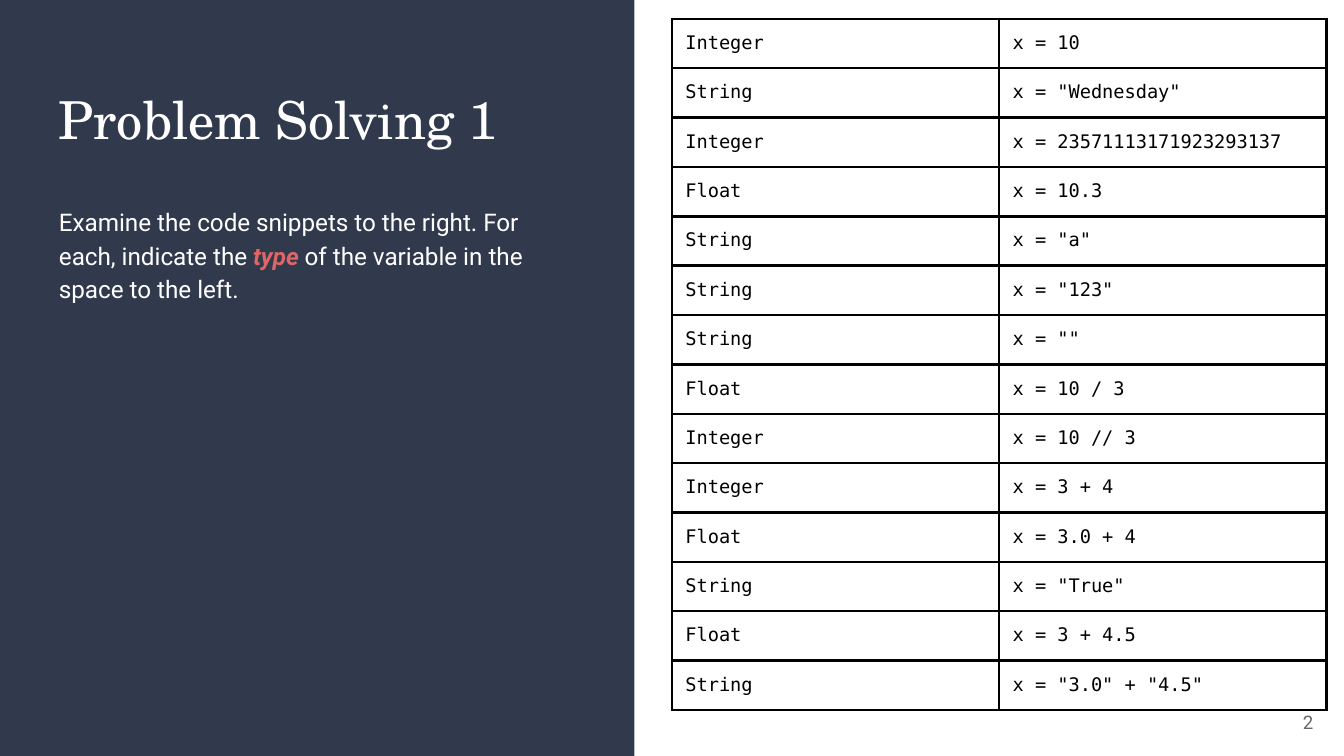
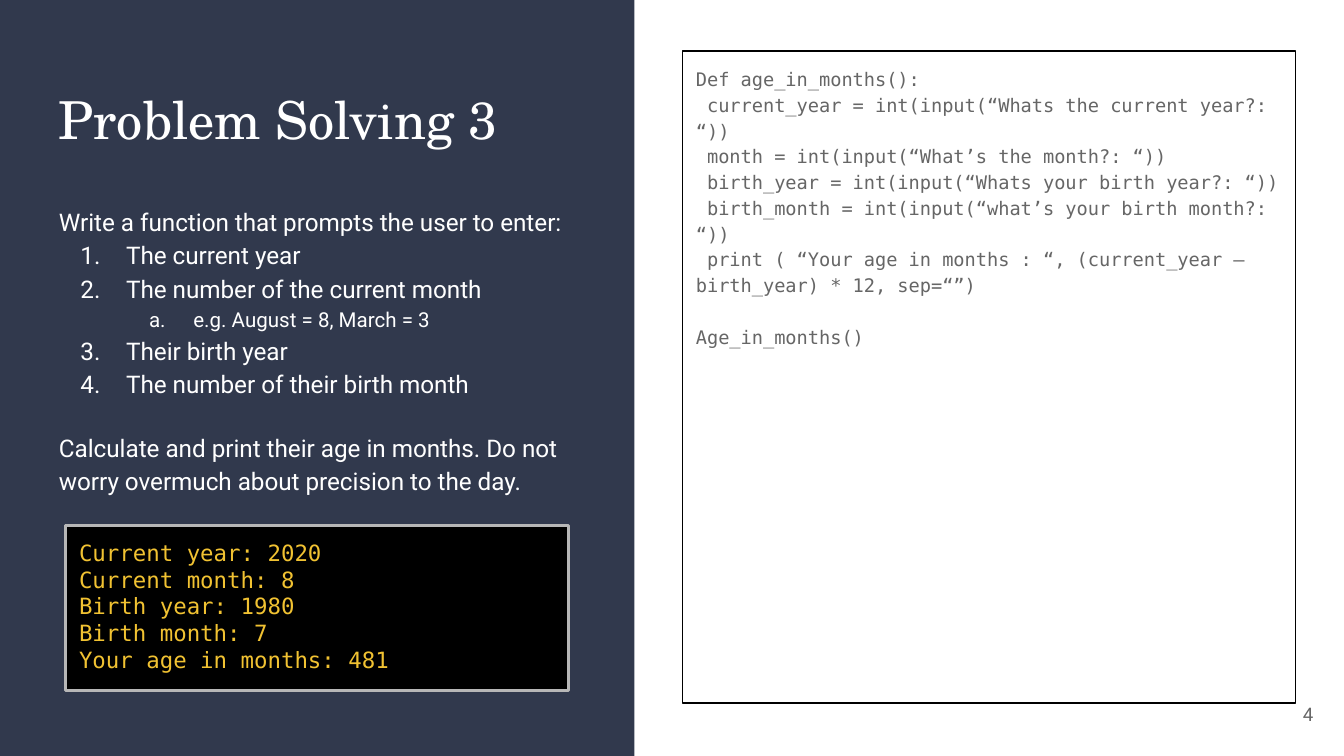
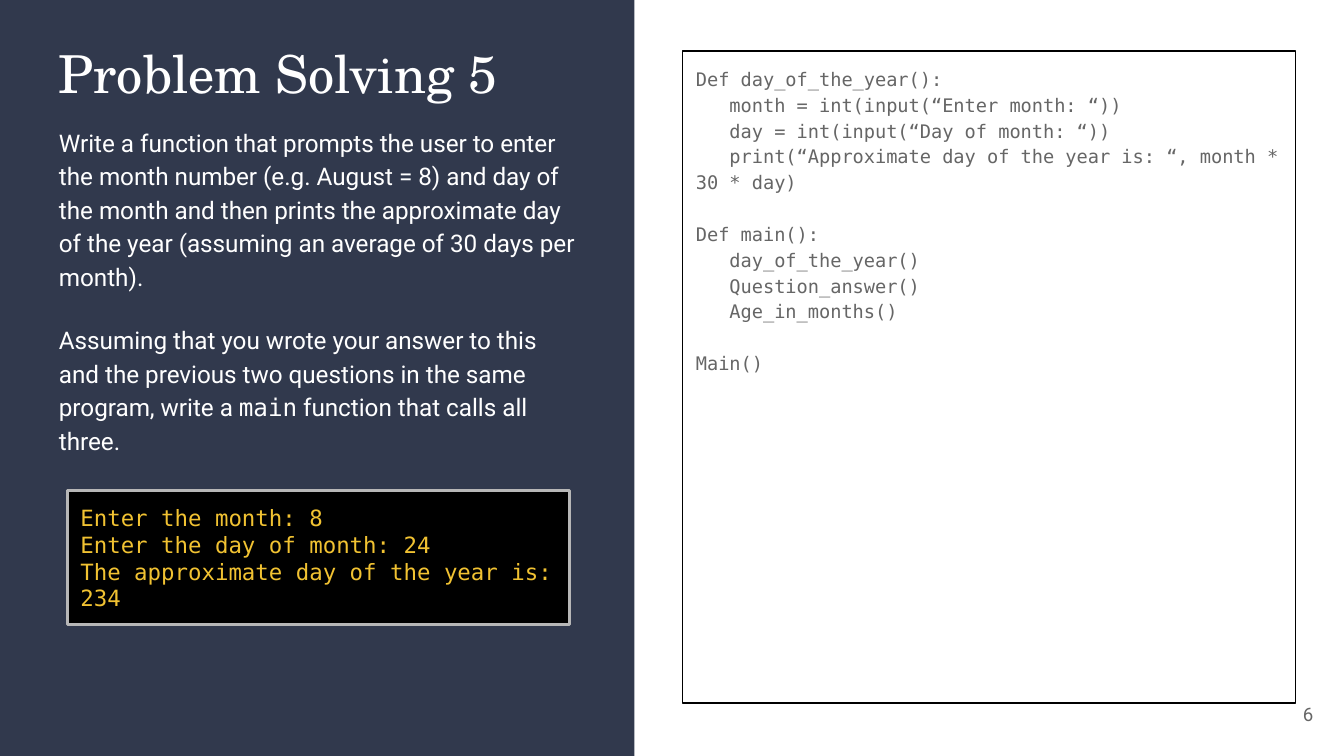
from lxml.etree import SubElement
from pptx import Presentation
from pptx.dml.color import RGBColor
from pptx.enum.shapes import MSO_SHAPE
from pptx.enum.text import MSO_ANCHOR, PP_ALIGN
from pptx.oxml.ns import qn
from pptx.util import Inches, Pt

hues = {
    "navy": "31394D", "white": "FFFFFF", "black": "000000", "gray": "666666",
    "rim": "B7B7B7", "gold": "F1C232", "red": "E06666",
}
serif, sans, mono = "TeX Gyre Schola", "Roboto", "DejaVu Sans Mono"
wide = 10
tall = wide * 9 / 16


def fill_text(frame, paras, face, size, hue, pace=None, gap=0):
    frame.word_wrap = True
    frame.margin_left = frame.margin_right = Inches(0.1)
    frame.margin_top = frame.margin_bottom = Inches(0.1)
    para, space = frame.paragraphs[0], False
    for at, runs in enumerate(paras):
        if not runs:
            space = True
            continue
        if at:
            para = frame.add_paragraph()
        para.alignment = PP_ALIGN.LEFT
        if pace:
            para.line_spacing = pace
        if space:
            para.space_before = Pt(gap)
            space = False
        for text in [runs] if isinstance(runs, str) else runs:
            run = para.add_run()
            run.text = text
            run.font.name, run.font.size = face, Pt(size)
            run.font.color.rgb = RGBColor.from_string(hues[hue])


def add_box(page, spot, fill=None, line=None, width=0):
    spot = [Inches(n) for n in spot]
    if not fill and not line:
        return page.shapes.add_textbox(*spot)
    box = page.shapes.add_shape(MSO_SHAPE.RECTANGLE, *spot)
    box.shadow.inherit = False
    box.text_frame.vertical_anchor = MSO_ANCHOR.TOP
    if fill:
        box.fill.solid()
        box.fill.fore_color.rgb = RGBColor.from_string(hues[fill])
    else:
        box.fill.background()
    if line:
        box.line.color.rgb = RGBColor.from_string(hues[line])
        box.line.width = Pt(width)
    else:
        box.line.fill.background()
    return box


tasks = [
    {
        "title": "Problem Solving 1", "top": 0.55, "num": "2", "foot": 5.16,
        "body": (1.41, 2.95),
        "text": [["Examine the code snippets to the right. For each, indicate the ",
                  "type ", "of the variable in the space to the left."]],
    },
    {
        "title": "Problem Solving 3", "top": 0.55, "num": "4", "foot": 5.1,
        "body": (1.41, 2.33),
        "text": [
            "Write a function that prompts the user to enter:",
            "The current year",
            "The number of the current month",
            "e.g. August = 8, March = 3",
            "Their birth year",
            "The number of their birth month",
            "",
            "Calculate and print their age in months. Do not worry overmuch "
            "about precision to the day.",
        ],
        "code": [
            "Def age_in_months():",
            " current_year = int(input(“Whats the current year?: “))",
            " month = int(input(“What’s the month?: “))",
            " birth_year = int(input(“Whats your birth year?: “))",
            " birth_month = int(input(“what’s your birth month?: “))",
            " print ( “Your age in months : “, (current_year – birth_year) * 12, sep=“”)",
            "",
            "Age_in_months()",
        ],
        "term": (0.49, 3.91, 3.74, 1.23),
        "log": ["Current year: 2020", "Current month: 8", "Birth year: 1980",
                "Birth month: 7", "Your age in months: 481"],
    },
    {
        "title": "Problem Solving 5", "top": 0.21, "num": "6", "foot": 5.1,
        "body": (0.82, 2.58),
        "text": [
            "Write a function that prompts the user to enter the month number "
            "(e.g. August = 8) and day of the month and then prints the approximate "
            "day of the year (assuming an average of 30 days per month).",
            "",
            ["Assuming that you wrote your answer to this and the previous two "
             "questions in the same program, write a ", "main",
             " function that calls all three."],
        ],
        "code": [
            "Def day_of_the_year():",
            "   month = int(input(“Enter month: “))",
            "   day = int(input(“Day of month: “))",
            "   print(“Approximate day of the year is: “, month * 30 * day)",
            "",
            "Def main():",
            "   day_of_the_year()",
            "   Question_answer()",
            "   Age_in_months()",
            "",
            "Main()",
        ],
        "term": (0.5, 3.65, 3.74, 1),
        "log": ["Enter the month: 8", "Enter the day of month: 24",
                "The approximate day of the year is: 234"],
    },
]

deck = Presentation()
deck.slide_width, deck.slide_height = Inches(wide), Inches(tall)

pages, bodies = [], []
for task in tasks:
    page = deck.slides.add_slide(deck.slide_layouts[6])
    add_box(page, (0, 0, 4.72, tall), fill="navy")

    title = add_box(page, (0.34, task["top"], 4.05, 0.7))
    fill_text(title.text_frame, [task["title"]], serif, 28, "white")

    if "code" in task:
        code = add_box(page, (5.08, 0.38, 4.56, 4.85), line="black", width=0.75)
        fill_text(code.text_frame, task["code"], mono, 10, "gray", 1.15, 14)

    top, high = task["body"]
    body = add_box(page, (0.34, top, 4.05, high)).text_frame
    fill_text(body, task["text"], sans, 13, "white", 1.15, 16)

    foot = add_box(page, (9.27, task["foot"], 0.6, 0.43)).text_frame
    fill_text(foot, [task["num"]], sans, 10, "gray")
    foot.vertical_anchor = MSO_ANCHOR.MIDDLE
    foot.paragraphs[0].alignment = PP_ALIGN.RIGHT

    if "log" in task:
        term = add_box(page, task["term"], "black", "rim", 1.5)
        fill_text(term.text_frame, task["log"], mono, 12, "gold")

    pages.append(page)
    bodies.append(body)

word = bodies[0].paragraphs[0].runs[1].font
word.bold = word.italic = True
word.color.rgb = RGBColor.from_string(hues["red"])

rows = [
    ("Integer", 'x = 10'),
    ("String", 'x = "Wednesday"'),
    ("Integer", 'x = 23571113171923293137'),
    ("Float", 'x = 10.3'),
    ("String", 'x = "a"'),
    ("String", 'x = "123"'),
    ("String", 'x = ""'),
    ("Float", 'x = 10 / 3'),
    ("Integer", 'x = 10 // 3'),
    ("Integer", 'x = 3 + 4'),
    ("Float", 'x = 3.0 + 4'),
    ("String", 'x = "True"'),
    ("Float", 'x = 3 + 4.5'),
    ("String", 'x = "3.0" + "4.5"'),
]
grid = pages[0].shapes.add_table(
    len(rows), 2, Inches(5), Inches(0.14), Inches(4.87), Inches(5.13)
).table
grid.first_row = grid.horz_banding = False
for r, row in enumerate(rows):
    grid.rows[r].height = Inches(0)
    for c, text in enumerate(row):
        cell = grid.cell(r, c)
        fill_text(cell.text_frame, [text], mono, 10, "black")
        cell.margin_left = cell.margin_right = Inches(0.1)
        cell.margin_top = cell.margin_bottom = Inches(0.1)
        props = cell._tc.get_or_add_tcPr()
        for side in ("lnL", "lnR", "lnT", "lnB"):
            edge = SubElement(props, qn("a:" + side), w=str(Pt(1.5)))
            paint = SubElement(edge, qn("a:solidFill"))
            SubElement(paint, qn("a:srgbClr"), val=hues["black"])
        cell.fill.background()

for at in range(1, 6):
    para = bodies[1].paragraphs[at]
    sub = at == 3
    props = para._p.get_or_add_pPr()
    props.set("marL", str(Inches(1 if sub else 0.5)))
    props.set("indent", str(Inches(-0.33 if sub else -0.34)))
    tint = SubElement(props, qn("a:buClr"))
    SubElement(tint, qn("a:srgbClr"), val=hues["white"])
    kind = "alphaLcPeriod" if sub else "arabicPeriod"
    SubElement(props, qn("a:buAutoNum"), type=kind)
    if sub:
        para.level = 1
        para.runs[0].font.size = Pt(11)

bodies[2].paragraphs[1].runs[1].font.name = mono

deck.save("out.pptx")
